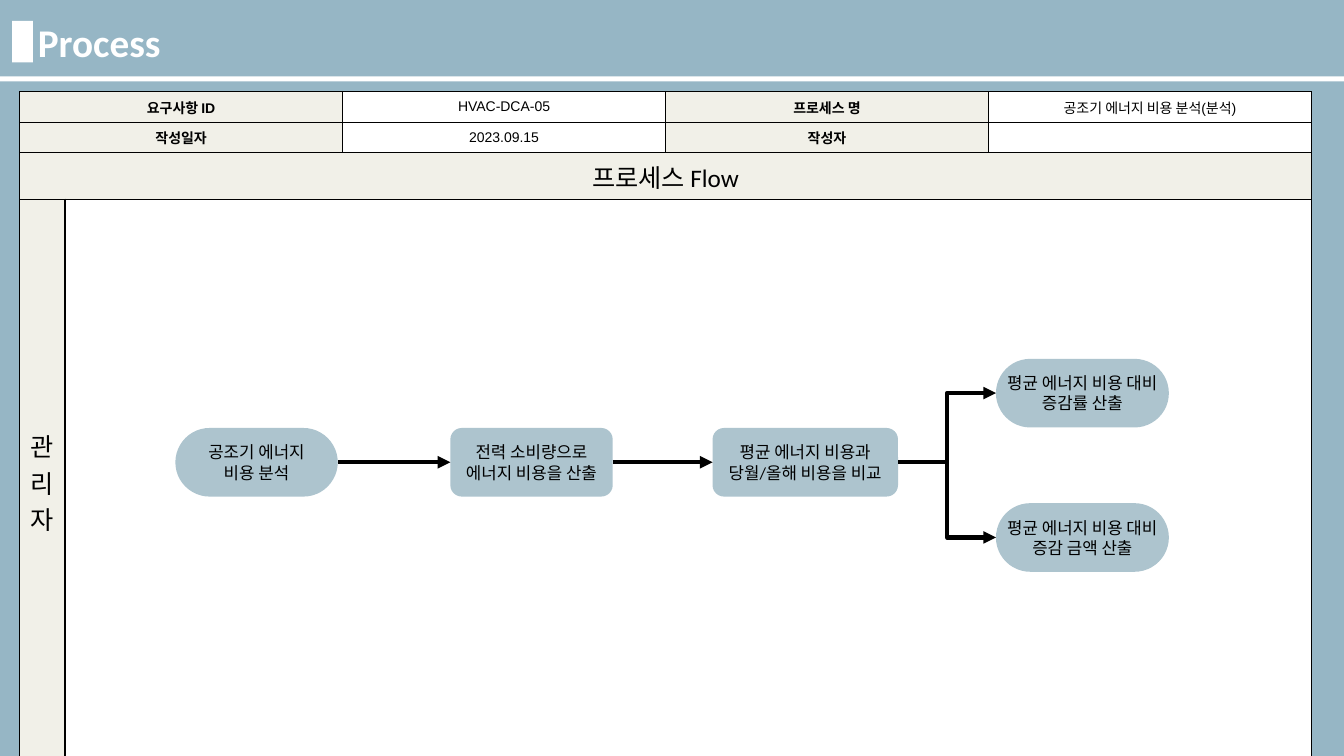
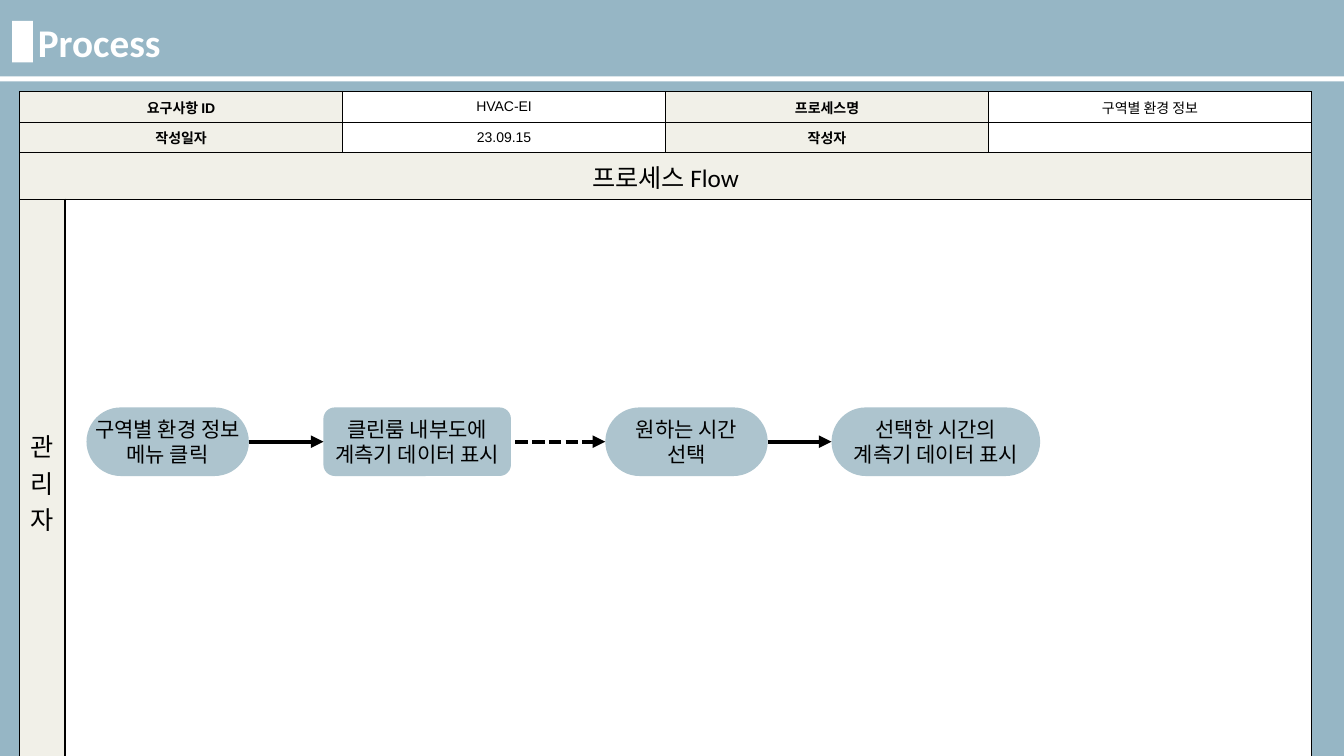
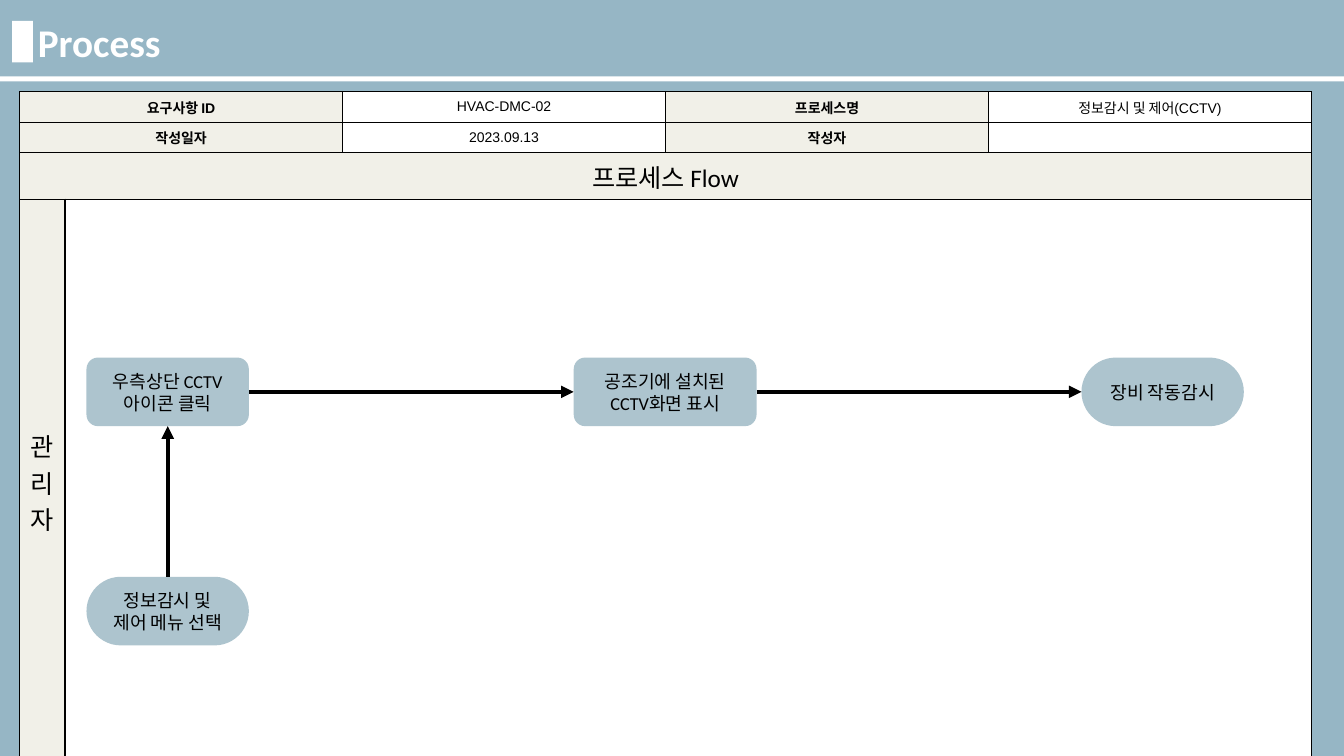
from lxml import etree
from pptx import Presentation
from pptx.dml.color import RGBColor
from pptx.enum.dml import MSO_LINE
from pptx.enum.shapes import MSO_CONNECTOR, MSO_SHAPE
from pptx.enum.text import MSO_ANCHOR, MSO_AUTO_SIZE, PP_ALIGN
from pptx.oxml.ns import qn
from pptx.util import Pt

RECT, ROUND = MSO_SHAPE.RECTANGLE, MSO_SHAPE.ROUNDED_RECTANGLE
STRAIGHT, ELBOW = MSO_CONNECTOR.STRAIGHT, MSO_CONNECTOR.ELBOW
CENTER, MIDDLE = PP_ALIGN.CENTER, MSO_ANCHOR.MIDDLE
TOP, LEFT, BOTTOM, RIGHT = range(4)

COLORS = {
    "page": "96B6C5",
    "node": "ADC4CE",
    "label": "F1F0E8",
    "white": "FFFFFF",
    "black": "000000",
}
BODY_FONT, TABLE_FONT = "Calibri", "Arial"
PAGE_W, PAGE_H = 960, 540
TABLE_X, TABLE_Y = 14, 65.5
FIELD_W, LANE_W = 230.7, 32.4
COLUMNS = [LANE_W, FIELD_W - LANE_W, FIELD_W, FIELD_W, FIELD_W]
ROWS = [21.8, 21.8, 33, 404]
NODE_W, NODE_H = 116, 49


def rgb(name):
    return RGBColor.from_string(COLORS[name])


def style_text(tf, size, font=BODY_FONT, color="black", bold=False, align=CENTER):
    for p in tf.paragraphs:
        p.alignment = align
        for r in p.runs:
            r.font.size, r.font.name, r.font.bold = Pt(size), font, bold
            r.font.color.rgb = rgb(color)


def add_block(slide, kind, x, y, w, h, color):
    sp = slide.shapes.add_shape(kind, Pt(x), Pt(y), Pt(w), Pt(h))
    sp.shadow.inherit = False
    sp.fill.solid()
    sp.fill.fore_color.rgb = rgb(color)
    sp.line.fill.background()
    return sp


def add_border(cell):
    tc_pr = cell._tc.get_or_add_tcPr()
    for i, side in enumerate(("lnL", "lnR", "lnT", "lnB")):
        ln = etree.Element(qn(f"a:{side}"), w=str(Pt(1)))
        fill = etree.SubElement(ln, qn("a:solidFill"))
        etree.SubElement(fill, qn("a:srgbClr"), val=COLORS["black"])
        tc_pr.insert(i, ln)


def fill_cell(cell, text, color, size=10, font=TABLE_FONT, bold=False):
    cell.text = text
    cell.vertical_anchor = MIDDLE
    cell.fill.solid()
    cell.fill.fore_color.rgb = rgb(color)
    style_text(cell.text_frame, size, font, bold=bold)
    if not text:  # an empty cell keeps its row low only with a small end mark
        etree.SubElement(cell.text_frame.paragraphs[0]._p, qn("a:endParaRPr"),
                         sz=str(size * 100))


def add_process_table(slide, req_id, name_label, name, date):
    frame = slide.shapes.add_table(len(ROWS), len(COLUMNS), Pt(TABLE_X), Pt(TABLE_Y),
                                   Pt(sum(COLUMNS)), Pt(sum(ROWS)))
    table = frame.table
    table.first_row = table.horz_banding = False
    for col, w in zip(table.columns, COLUMNS):
        col.width = Pt(w)
    for row, h in zip(table.rows, ROWS):
        row.height = Pt(h)
    for row, first, last in ((0, 0, 1), (1, 0, 1), (2, 0, 4), (3, 1, 4)):
        table.cell(row, first).merge(table.cell(row, last))

    fields = (("요구사항 ID", req_id, name_label, name),
              ("작성일자", date, "작성자", ""))
    for row, texts in enumerate(fields):
        for i, (col, text) in enumerate(zip((0, 2, 3, 4), texts)):
            is_label = i % 2 == 0
            fill_cell(table.cell(row, col), text, "label" if is_label else "white",
                      bold=is_label)
    fill_cell(table.cell(2, 0), "프로세스 Flow", "label", 18, BODY_FONT)
    fill_cell(table.cell(3, 0), "관리자", "label", 18, BODY_FONT)
    fill_cell(table.cell(3, 1), "", "white")
    for cell in table.iter_cells():
        add_border(cell)


def add_page(prs, *fields):
    """Add a slide with the background, form table and title band."""
    slide = prs.slides.add_slide(prs.slide_layouts[6])
    slide.background.fill.solid()
    slide.background.fill.fore_color.rgb = rgb("page")
    add_process_table(slide, *fields)
    tf = slide.shapes.add_textbox(Pt(20), Pt(9.4), Pt(862), Pt(41)).text_frame
    tf.word_wrap = True
    tf.auto_size = MSO_AUTO_SIZE.SHAPE_TO_FIT_TEXT
    tf.text = "Process"
    style_text(tf, 28, color="white", bold=True, align=PP_ALIGN.LEFT)
    add_block(slide, RECT, 8.6, 15, 15, 29.5, "white")
    add_block(slide, RECT, 0, 54.6, PAGE_W, 3.6, "white")
    return slide


def add_node(slide, text, x, y, size, w=NODE_W, pill=False, wrap=False):
    sp = add_block(slide, ROUND, x, y, w, NODE_H, "node")
    if pill:
        sp.adjustments[0] = 0.5
    tf = sp.text_frame
    tf.word_wrap = wrap
    tf.vertical_anchor = MIDDLE
    tf.text = text
    style_text(tf, size)
    return sp


def side_point(sp, side):
    dx, dy = {TOP: (1, 0), LEFT: (0, 1), BOTTOM: (1, 2), RIGHT: (2, 1)}[side]
    return sp.left + sp.width * dx // 2, sp.top + sp.height * dy // 2


def add_arrow(slide, src, dst, kind=STRAIGHT, out=RIGHT, into=LEFT, gap=0, dash=None):
    """Join two nodes; a gap leaves the start loose, right of the source."""
    x, y = side_point(src, out)
    line = slide.shapes.add_connector(kind, x + Pt(gap), y, *side_point(dst, into))
    if not gap:
        line.begin_connect(src, out)
    line.end_connect(dst, into)
    line.line.color.rgb = rgb("black")
    line.line.width = Pt(3)
    if dash:
        line.line.dash_style = dash
    etree.SubElement(line.line._get_or_add_ln(), qn("a:tailEnd"), type="triangle")
    etree.SubElement(line._element.spPr, qn("a:effectLst"))


def add_cost_analysis(prs):
    slide = add_page(prs, "HVAC-DCA-05", "프로세스 명", "공조기 에너지 비용 분석(분석)",
                     "2023.09.15")
    y, size = 305.7, 12
    start = add_node(slide, "공조기 에너지\n비용 분석", 125.3, y, size, pill=True)
    cost = add_node(slide, "전력 소비량으로\n에너지 비용을 산출", 321.7, y, size)
    compare = add_node(slide, "평균 에너지 비용과\n당월/올해 비용을 비교", 509, y, size, 132.5)
    add_arrow(slide, start, cost)
    add_arrow(slide, cost, compare)
    for result, result_y in (("증감률 산출", 256.3), ("증감 금액 산출", 359.4)):
        node = add_node(slide, f"평균 에너지 비용 대비\n{result}", 711.4, result_y, size,
                        123.5, pill=True)
        add_arrow(slide, compare, node, ELBOW)


def add_zone_environment(prs):
    slide = add_page(prs, "HVAC-EI", "프로세스명", "구역별 환경 정보", "23.09.15")
    y, size = 291, 15
    menu = add_node(slide, "구역별 환경 정보\n메뉴 클릭", 61.8, y, size, pill=True)
    plan = add_node(slide, "클린룸 내부도에\n계측기 데이터 표시", 231, y, size, 134)
    time = add_node(slide, "원하는 시간\n선택", 432.4, y, size, pill=True)
    data = add_node(slide, "선택한 시간의\n계측기 데이터 표시", 594, y, size, 149, pill=True)
    add_arrow(slide, menu, plan)
    add_arrow(slide, plan, time, gap=3, dash=MSO_LINE.SQUARE_DOT)
    add_arrow(slide, time, data)


def add_cctv_monitoring(prs):
    slide = add_page(prs, "HVAC-DMC-02", "프로세스명", "정보감시 및 제어(CCTV)",
                     "2023.09.13")
    x, y, size = 61.8, 255.4, 13
    menu = add_node(slide, "정보감시 및 제어 메뉴 선택", x, 412, size, pill=True, wrap=True)
    icon = add_node(slide, "우측상단 CCTV 아이콘 클릭", x, y, size, wrap=True)
    screen = add_node(slide, "공조기에 설치된\nCCTV화면 표시", 409.8, y, size, 130.6, wrap=True)
    watch = add_node(slide, "장비 작동감시", 772.5, y, size, pill=True, wrap=True)
    add_arrow(slide, menu, icon, out=TOP, into=BOTTOM)
    add_arrow(slide, icon, screen)
    add_arrow(slide, screen, watch)


def main():
    prs = Presentation()
    prs.slide_width, prs.slide_height = Pt(PAGE_W), Pt(PAGE_H)
    add_cost_analysis(prs)
    add_zone_environment(prs)
    add_cctv_monitoring(prs)
    prs.save("out.pptx")


if __name__ == "__main__":
    main()
